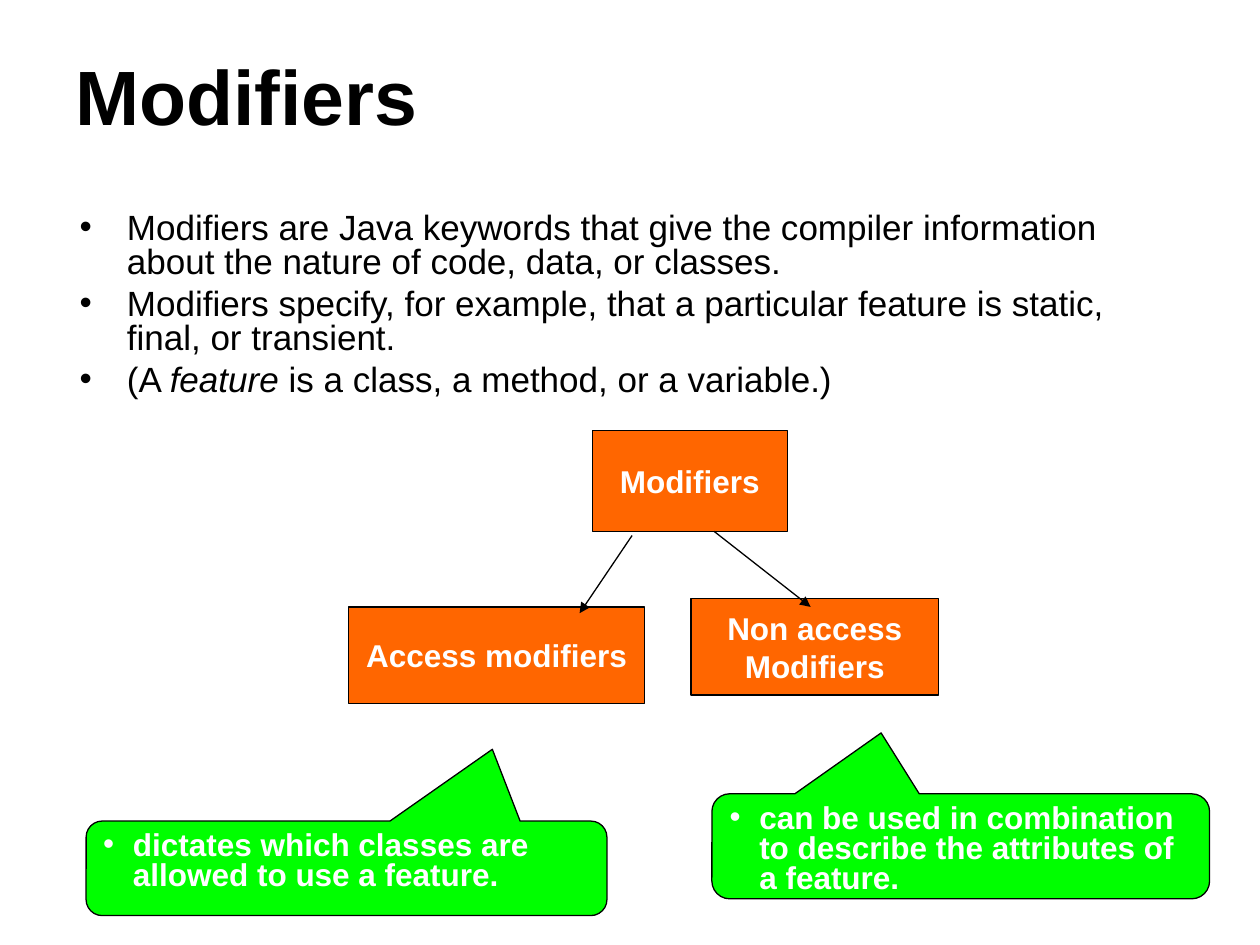
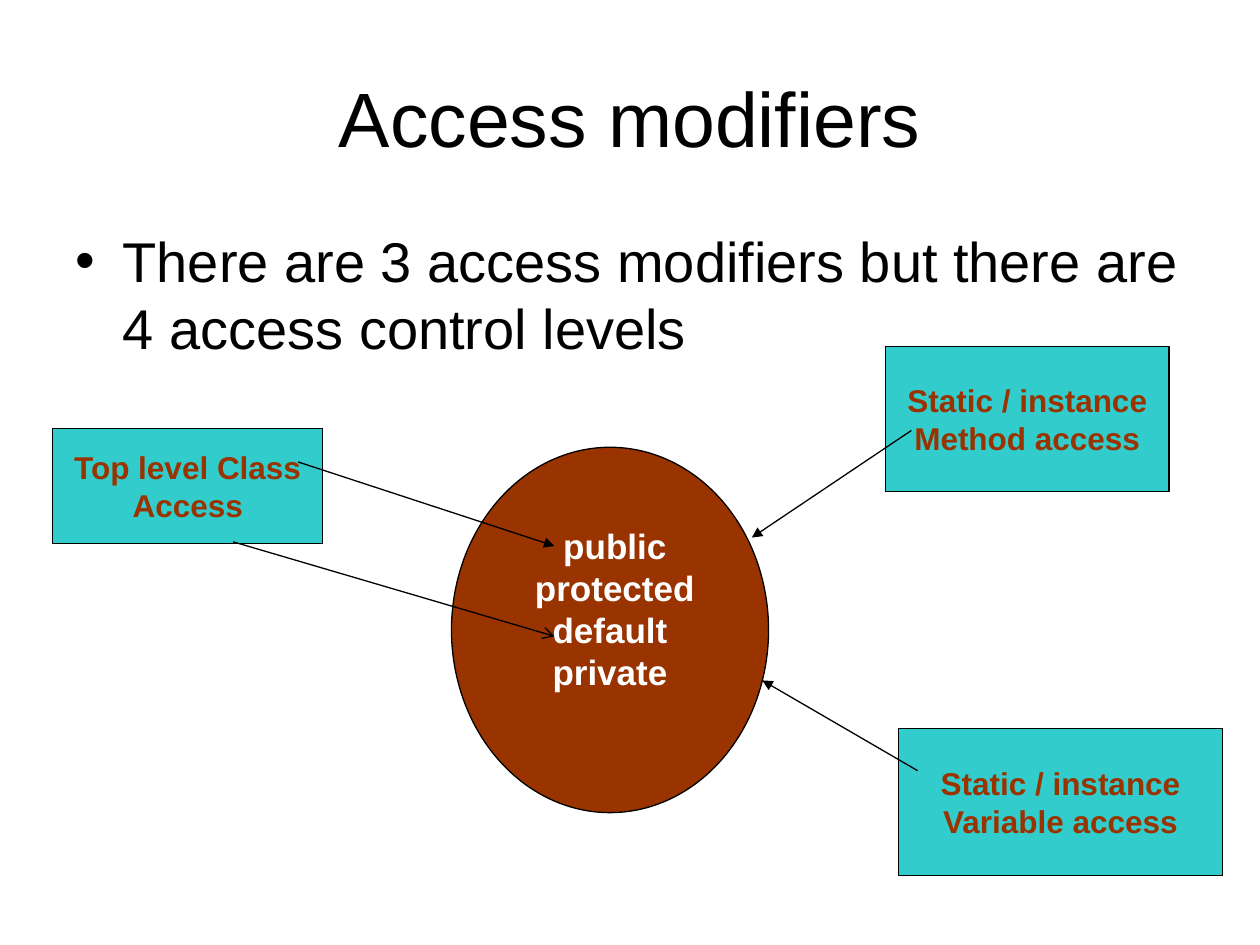
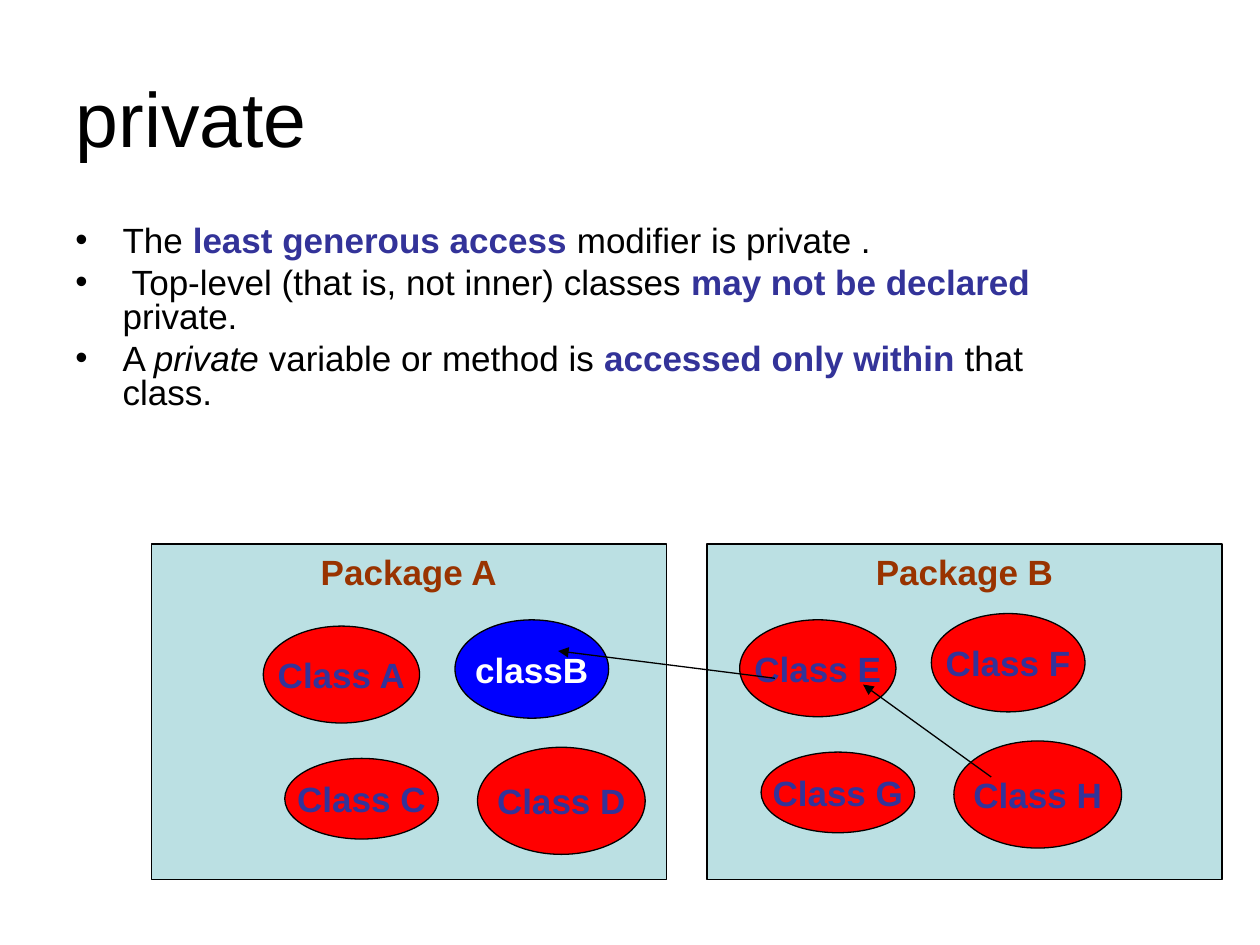
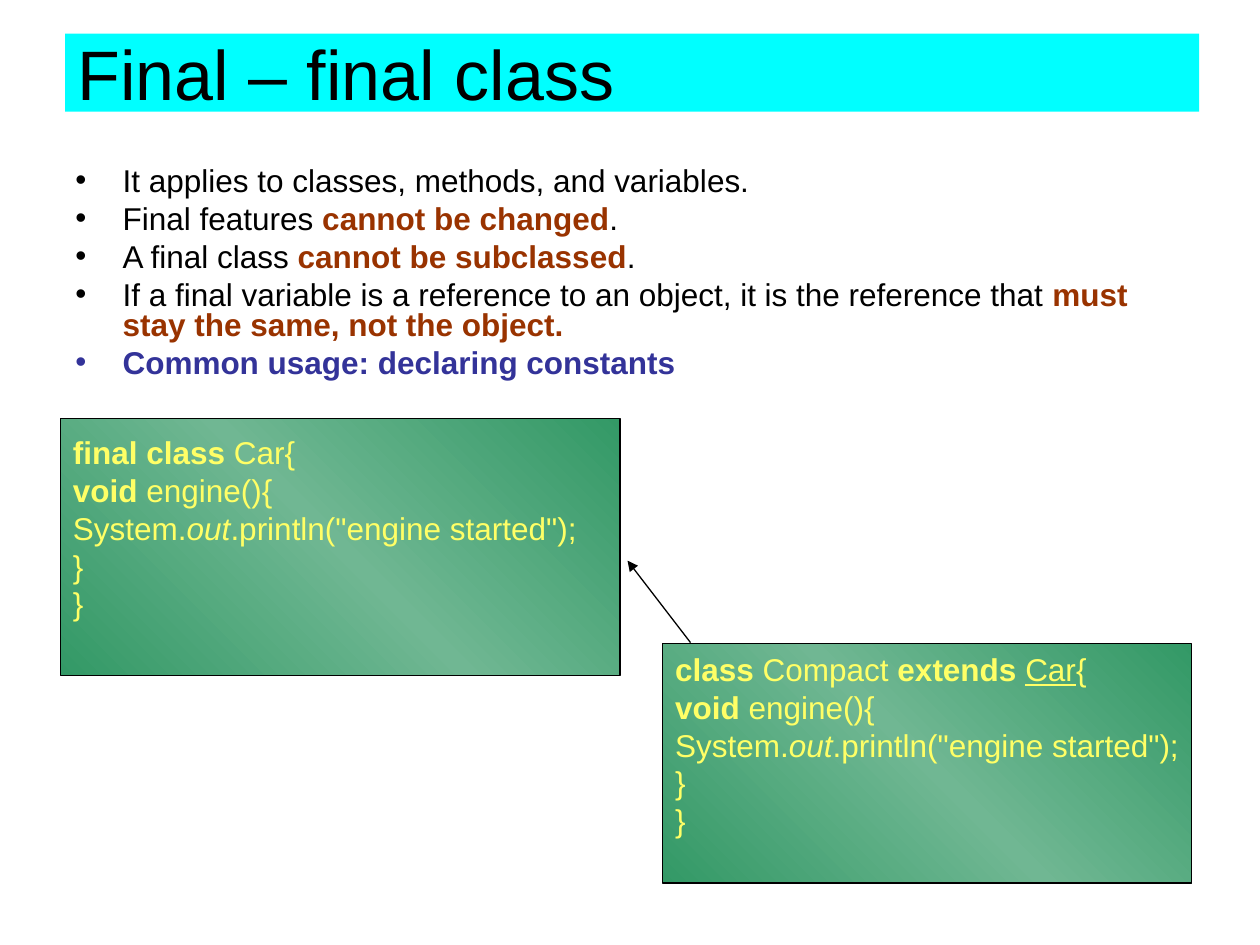
import copy

import pptx
import pptx.dml.color
import pptx.enum.dml
import pptx.enum.shapes
import pptx.enum.text
import pptx.oxml.ns
import pptx.util
from lxml import etree

Pt = pptx.util.Pt
SHAPE = pptx.enum.shapes.MSO_SHAPE
ALIGN = pptx.enum.text.PP_ALIGN
ANCHOR = pptx.enum.text.MSO_ANCHOR
qn = pptx.oxml.ns.qn

BLACK, WHITE = "000000", "FFFFFF"
BROWN, NAVY = "993300", "333399"
ORANGE, GREEN, TEAL = "FF6600", "00FF00", "33CCCC"
PALE, RED, BLUE, CYAN = "BBE0E3", "FF0000", "0000FF", "00FFFF"
YELLOW = "FFFF66"
CODE_STOPS = [(0, "339966"), (0.5, "70B793"), (1, "339966")]


def rgb(value):
    return pptx.dml.color.RGBColor.from_string(value)


def write(tf, paragraphs, size=18, color=BLACK, bold=False, align=ALIGN.LEFT,
          anchor=ANCHOR.TOP, wrap=True, bullet=0, spacing=None, before=0,
          bottom=3.6):
    """Fill a text frame; a paragraph is a string or a list of runs,
    and a run is a string or a (string, format) pair."""
    tf.auto_size = pptx.enum.text.MSO_AUTO_SIZE.NONE
    tf.word_wrap = wrap
    tf.vertical_anchor = anchor
    tf.margin_left = tf.margin_right = Pt(7.2)
    tf.margin_top, tf.margin_bottom = Pt(3.6), Pt(bottom)
    for i, runs in enumerate(paragraphs):
        p = tf.paragraphs[0] if i == 0 else tf.add_paragraph()
        p.alignment = align
        p.space_before = Pt(before)
        if spacing:
            p.line_spacing = spacing
        runs = [runs] if isinstance(runs, str) else runs
        runs = [(run, {}) if isinstance(run, str) else run for run in runs]
        if bullet:
            add_bullet(p, bullet, runs[0][1].get("color", color))
        for text, fmt in runs:
            r = p.add_run()
            r.text = text
            r.font.name = "Arial"
            r.font.size = Pt(size)
            r.font.color.rgb = rgb(fmt.get("color", color))
            r.font.bold = fmt.get("bold", bold)
            r.font.italic = fmt.get("italic", False)
            r.font.underline = fmt.get("underline", False)


def add_bullet(p, indent, color):
    pPr = p._p.get_or_add_pPr()
    pPr.set("marL", str(Pt(indent)))
    pPr.set("indent", str(-Pt(indent)))
    clr = etree.SubElement(pPr, qn("a:buClr"))
    etree.SubElement(clr, qn("a:srgbClr"), val=color)
    etree.SubElement(pPr, qn("a:buFont"), typeface="Arial")
    etree.SubElement(pPr, qn("a:buChar"), char="•")


class Deck:
    def __init__(self):
        self.prs = pptx.Presentation()
        self.prs.slide_width, self.prs.slide_height = Pt(720), Pt(540)
        self.s = None

    def slide(self, title, box=(36, 21.6, 648, 90), fill=None, **fmt):
        self.s = self.prs.slides.add_slide(self.prs.slide_layouts[5])
        sp = self.s.shapes.title
        sp.left, sp.top, sp.width, sp.height = map(Pt, box)
        if fill:
            sp.fill.solid()
            sp.fill.fore_color.rgb = rgb(fill)
        write(sp.text_frame, [title],
              **{"size": 44, "anchor": ANCHOR.MIDDLE, **fmt})

    def bullets(self, box, paragraphs, **fmt):
        sp = self.s.shapes.add_textbox(*map(Pt, box))
        write(sp.text_frame, paragraphs,
              **{"bullet": 27, "spacing": 0.8, "before": 5, **fmt})

    def shape(self, kind, box, fill, paragraphs, adjust=(), **fmt):
        sp = self.s.shapes.add_shape(kind, *map(Pt, box))
        sp.shadow.inherit = False
        for i, value in enumerate(adjust):
            sp.adjustments[i] = value
        if isinstance(fill, str):
            sp.fill.solid()
            sp.fill.fore_color.rgb = rgb(fill)
        else:
            self.gradient(sp, fill)
        sp.line.color.rgb = rgb(BLACK)
        sp.line.width = Pt(0.75)
        write(sp.text_frame, paragraphs,
              **{"bold": True, "align": ALIGN.CENTER,
                 "anchor": ANCHOR.MIDDLE, **fmt})

    def gradient(self, sp, stops):
        sp.fill.gradient()
        gs_list = sp._element.spPr.find(".//" + qn("a:gsLst"))
        while len(gs_list) < len(stops):
            gs_list.append(copy.deepcopy(gs_list[0]))
        for stop, (position, color) in zip(sp.fill.gradient_stops, stops):
            stop.position = position
            stop.color.rgb = rgb(color)
        sp.fill.gradient_angle = 45

    def callout(self, box, adjust, text):
        self.shape(SHAPE.ROUNDED_RECTANGULAR_CALLOUT, box, GREEN, [text],
                   adjust, color=WHITE, align=ALIGN.LEFT, anchor=ANCHOR.TOP,
                   bullet=17, spacing=0.8, before=4.5)

    def code(self, box, lines):
        # The deeper bottom inset lifts the text by half a line
        self.shape(SHAPE.RECTANGLE, box, CODE_STOPS, lines, color=YELLOW,
                   bold=False, align=ALIGN.LEFT, wrap=False, bottom=25.2)

    def arrow(self, x1, y1, x2, y2, head="triangle"):
        c = self.s.shapes.add_connector(
            pptx.enum.shapes.MSO_CONNECTOR.STRAIGHT,
            Pt(x1), Pt(y1), Pt(x2), Pt(y2))
        c.line.color.rgb = rgb(BLACK)
        c.line.width = Pt(0.75)
        etree.SubElement(c.line._get_or_add_ln(), qn("a:tailEnd"), type=head)
        etree.SubElement(c._element.spPr, qn("a:effectLst"))


def modifiers_slide(d):
    d.slide("Modifiers", box=(36, 21.6, 648, 64.8), bold=True)
    d.bullets((38.4, 118.8, 636, 131), [
        "Modifiers are Java keywords that give the compiler information "
        "about the nature of code, data, or classes.",
        "Modifiers specify, for example, that a particular feature is "
        "static, final, or transient.",
        ["(A ", ("feature ", {"italic": True}),
         "is a class, a method, or a variable.)"],
    ], size=20)
    # Tree of modifier kinds
    for box, text in [
        ((338.4, 246, 111.6, 57.6), "Modifiers"),
        ((199.2, 346.8, 169.2, 55.2), "Access modifiers"),
        ((394.8, 342, 141.6, 55.2), "Non access Modifiers"),
    ]:
        d.shape(SHAPE.RECTANGLE, box, ORANGE, [text], color=WHITE)
    d.arrow(361.2, 306, 331.2, 350.4)
    d.arrow(408, 303.6, 463.2, 346.8)
    # Explanations
    d.callout((49.2, 469.2, 297.6, 54), (0.28, -1.26, 0.17),
              "dictates which classes are allowed to use a feature.")
    d.callout((406.8, 453.6, 284.4, 60), (-0.16, -1.08, 0.17),
              "can be used in combination to describe the attributes of "
              "a feature.")


def access_slide(d):
    d.slide("Access modifiers", align=ALIGN.CENTER)
    d.bullets((36, 126, 648, 92), [
        "There are 3 access modifiers but there are 4 access control levels",
    ], size=32, spacing=None, before=8)
    # Access levels and what they apply to
    d.shape(SHAPE.OVAL, (258, 255.6, 181.2, 208.8), BROWN,
            [" public", " protected", "default", "private"],
            size=20, color=WHITE, wrap=False, bottom=27.6)
    for box, text in [
        ((30.2, 244.8, 154.2, 66), "Top level Class Access"),
        ((506, 198, 162, 82.8), "Static / instance Method access"),
        ((513.6, 416.4, 184.8, 84), "Static / instance Variable access"),
    ]:
        d.shape(SHAPE.RECTANGLE, box, TEAL, [text], color=BROWN)
    d.arrow(170.4, 264, 316.8, 312)
    d.arrow(133.2, 309.6, 316.8, 363.6, head="arrow")
    d.arrow(520.8, 246, 429.6, 307.2)
    d.arrow(524.4, 440.4, 435.6, 388.8)


def private_slide(d):
    key = {"color": NAVY, "bold": True}
    d.slide("private")
    d.bullets((36, 126, 597.6, 122.4), [
        ["The ", ("least generous access", key), " modifier is private ."],
        [" Top-level (that is, not inner) classes ",
         ("may not be declared", key), " private."],
        ["A ", ("private ", {"italic": True}), "variable or method is ",
         ("accessed only within", key), " that class."],
    ], size=20)
    # Two packages with the same arrangement of classes
    ovals = [(150.5, 357.8, 89.3, 55.4), (260, 354.2, 87.8, 56.2),
             (162.7, 433.4, 87.8, 46.1), (272.9, 427, 95.8, 61.2)]
    for name, left, dx, dy, classes in [
        ("Package A", 86.4, 0, 0, ["Class A", "classB", "Class C", "Class D"]),
        ("Package B", 404, 272.2, -3.6,
         ["Class E", "Class F", "Class G", "Class H"]),
    ]:
        d.shape(SHAPE.RECTANGLE, (left, 310.8, 294.4, 192), PALE, [name],
                size=20, color=BROWN, anchor=ANCHOR.TOP)
        for (x, y, w, h), text in zip(ovals, classes):
            private = text == "classB"
            d.shape(SHAPE.OVAL, (x + dx, y + dy, w, h),
                    BLUE if private else RED, [text], size=20,
                    color=WHITE if private else NAVY, wrap=False)
    d.arrow(442.8, 387.6, 319, 372)
    d.arrow(566.4, 444, 493.2, 391.2)


def final_slide(d):
    key = {"color": BROWN, "bold": True}
    keyword = {"bold": True}
    d.slide("Final – final class", box=(37.2, 19.2, 648, 44.6), fill=CYAN,
            size=40)
    d.bullets((36, 92.4, 648, 139), [
        "It applies to classes, methods, and variables.",
        ["Final features ", ("cannot be changed", key), "."],
        ["A final class ", ("cannot be subclassed", key), "."],
        ["If a final variable is a reference to an object, it is the "
         "reference that ", ("must stay the same, not the object.", key)],
        [("Common usage: declaring constants",
          {"color": NAVY, "bold": True})],
    ], before=4.5)
    # Class and subclass share the same body
    body = [
        [("void", keyword), " engine(){"],
        ["System.", ("out", {"italic": True}),
         '.println("engine started");'],
        "}",
        "}",
    ]
    d.code((34.6, 239, 319.7, 146.9),
           [[("final class", keyword), " Car{"]] + body)
    d.code((378.7, 367.9, 302.4, 136.8),
           [[("class", keyword), " Compact ", ("extends ", keyword),
             ("Car", {"underline": True}), "{"]] + body)
    d.arrow(394.6, 367.2, 358.6, 320.4)


def main():
    d = Deck()
    modifiers_slide(d)
    access_slide(d)
    private_slide(d)
    final_slide(d)
    d.prs.save("out.pptx")


if __name__ == "__main__":
    main()
